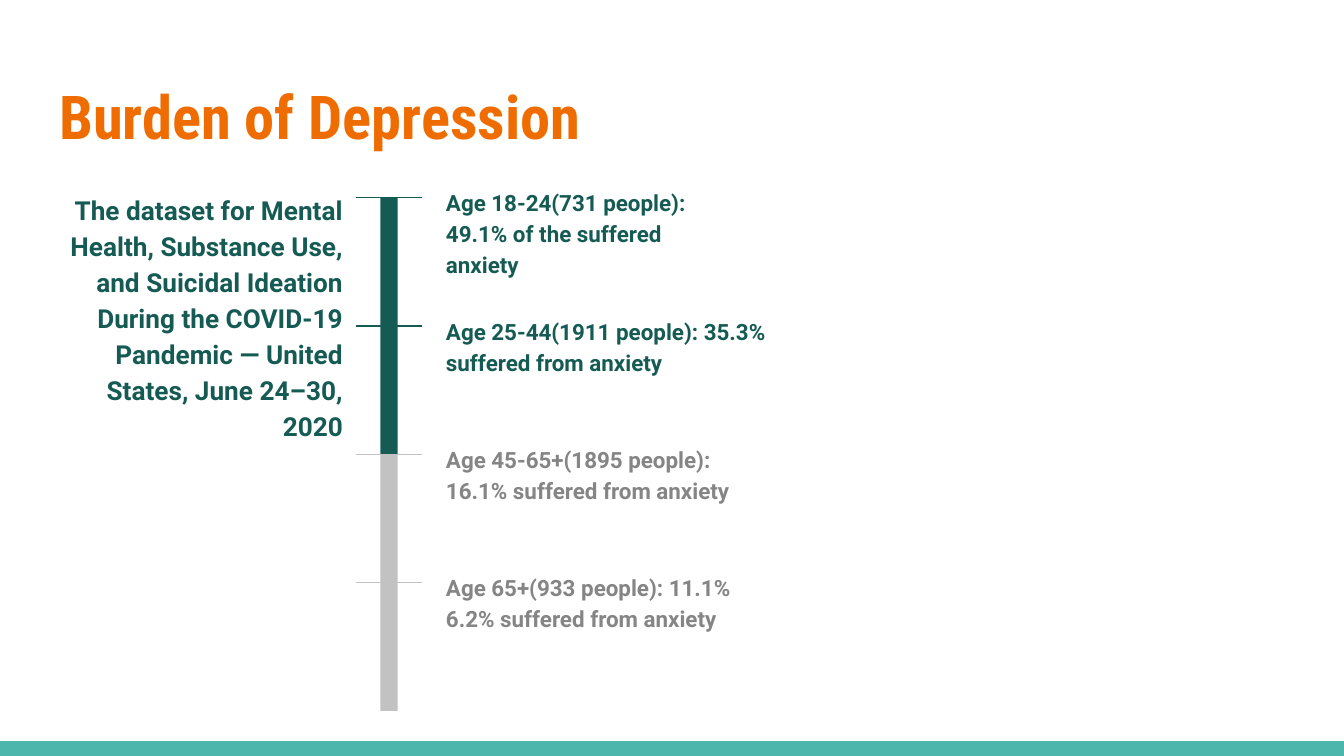
from lxml.etree import SubElement
from pptx import Presentation
from pptx.dml.color import RGBColor
from pptx.enum.shapes import MSO_CONNECTOR as Connector, MSO_SHAPE as Shape
from pptx.enum.text import MSO_ANCHOR as Anchor, PP_ALIGN as Align
from pptx.oxml.ns import qn
from pptx.util import Inches, Pt

PAGE_WIDTH = 10
PAGE_HEIGHT = PAGE_WIDTH * 9 / 16
STRIP_HEIGHT = 0.11
GREEN, GRAY, GRAY_TEXT = "155B54", "C2C2C2", "858585"
TEAL, ORANGE = "4DB6AC", "EF6C00"
TIMELINE_TOP, TIMELINE_BOTTOM = 1.47, 5.29
AGE_GROUPS = [
    ("Age 18-24(731 people): 49.1% of the suffered anxiety", 2.26, GREEN, GREEN),
    ("Age 25-44(1911 people): 35.3% suffered from anxiety", 3, GREEN, GREEN),
    ("Age 45-65+(1895 people): 16.1% suffered from anxiety", 2.57, GRAY, GRAY_TEXT),
    ("Age 65+(933 people): 11.1% 6.2% suffered from anxiety", 2.57, GRAY, GRAY_TEXT),
]
DATASET = (
    "The dataset for Mental Health, Substance Use, and Suicidal Ideation "
    "During the COVID-19 Pandemic — United States, June 24–30, 2020"
)


def color(value):
    return RGBColor.from_string(value)


def write(box, text, *, size, fill, font="Roboto", align=Align.LEFT, spacing=1.15):
    frame = box.text_frame
    frame.word_wrap = True
    frame.vertical_anchor = Anchor.TOP
    frame.margin_left = frame.margin_right = Inches(0.1)
    frame.margin_top = frame.margin_bottom = Inches(0.1)
    para = frame.paragraphs[0]
    para.alignment = align
    para.line_spacing = spacing
    span = para.add_run()
    span.text = text
    span.font.name = font
    span.font.size = Pt(size)
    span.font.bold = True
    span.font.color.rgb = color(fill)


def add_title(page, text):
    title = page.shapes.title
    title.left, title.top = Inches(0.34), Inches(0.49)
    title.width, title.height = Inches(9.32), Inches(0.77)
    write(title, text, size=32.4, fill=ORANGE, font="Roboto Condensed", spacing=1)


def add_bar(shapes, left, top, width, height, fill):
    bar = shapes.add_shape(Shape.RECTANGLE, Inches(left), Inches(top),
                           Inches(width), Inches(height))
    bar.shadow.inherit = False
    bar.fill.solid()
    bar.fill.fore_color.rgb = color(fill)
    bar.line.fill.background()


def add_tick(shapes, top, fill):
    tick = shapes.add_connector(Connector.STRAIGHT, Inches(3.14), Inches(top),
                                Inches(2.65), Inches(top))
    tick.line.color.rgb = color(fill)
    tick.line.width = Pt(0.75)
    SubElement(tick._element.spPr, qn("a:effectLst"))


def add_text(shapes, left, top, width, height, text, **style):
    box = shapes.add_textbox(Inches(left), Inches(top), Inches(width), Inches(height))
    write(box, text, **style)


def add_age_group(page, top, height, text, width, fill, text_fill):
    shapes = page.shapes.add_group_shape().shapes
    add_bar(shapes, 2.83, top, 0.13, height, fill)
    add_tick(shapes, top, fill)
    add_text(shapes, 3.22, top - 0.19, width, 0.26, text, size=12, fill=text_fill)


def main():
    deck = Presentation()
    deck.slide_width, deck.slide_height = Inches(PAGE_WIDTH), Inches(PAGE_HEIGHT)
    page = deck.slides.add_slide(deck.slide_layouts[5])
    add_bar(page.shapes, 0, PAGE_HEIGHT - STRIP_HEIGHT, PAGE_WIDTH, STRIP_HEIGHT, TEAL)
    add_title(page, "Burden of Depression")
    add_text(page.shapes, 0.29, 1.31, 2.36, 0.33, DATASET,
             size=14, fill=GREEN, align=Align.RIGHT)
    step = (TIMELINE_BOTTOM - TIMELINE_TOP) / len(AGE_GROUPS)
    for index, age_group in enumerate(AGE_GROUPS):
        add_age_group(page, TIMELINE_TOP + index * step, step, *age_group)
    deck.save("out.pptx")


if __name__ == "__main__":
    main()
